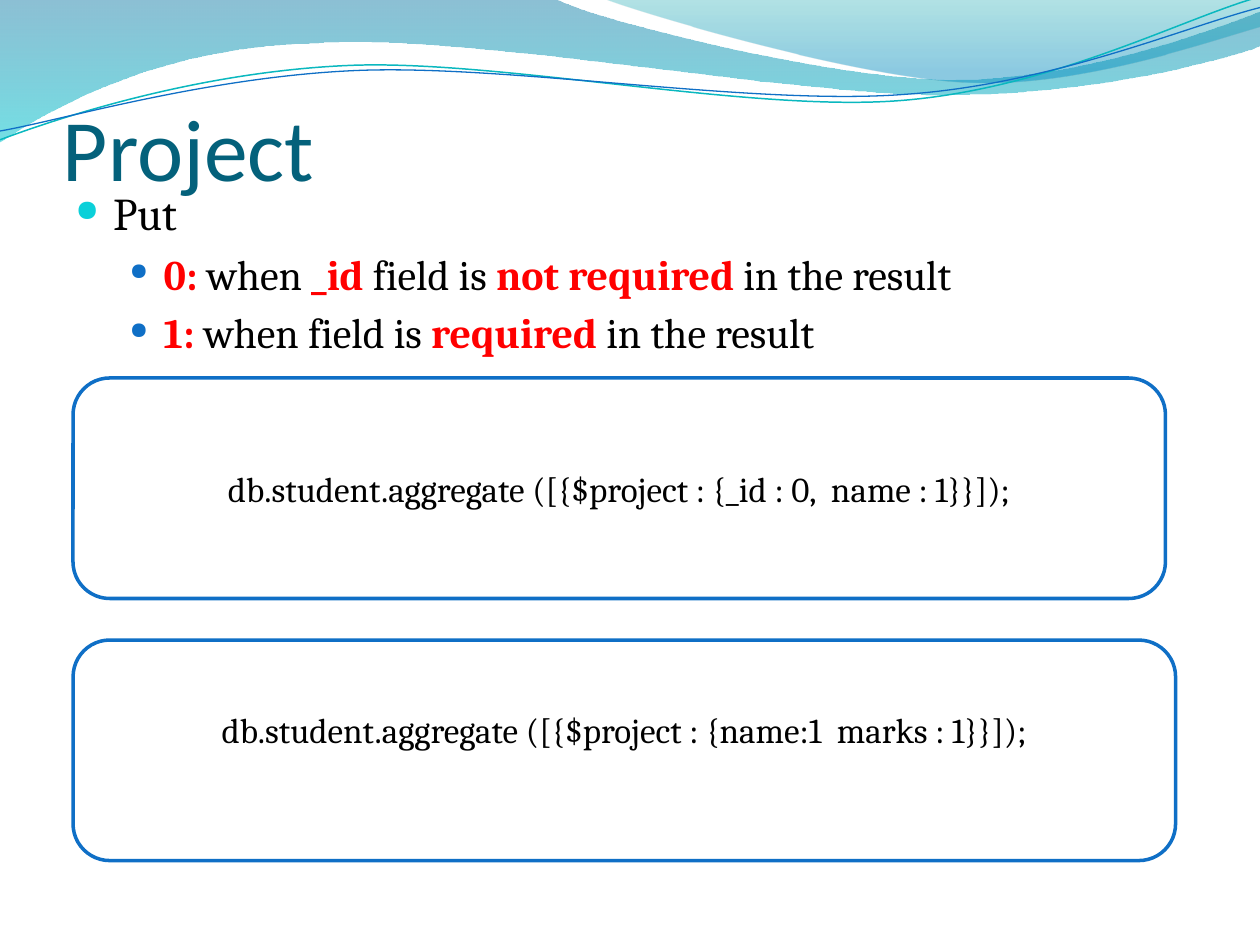
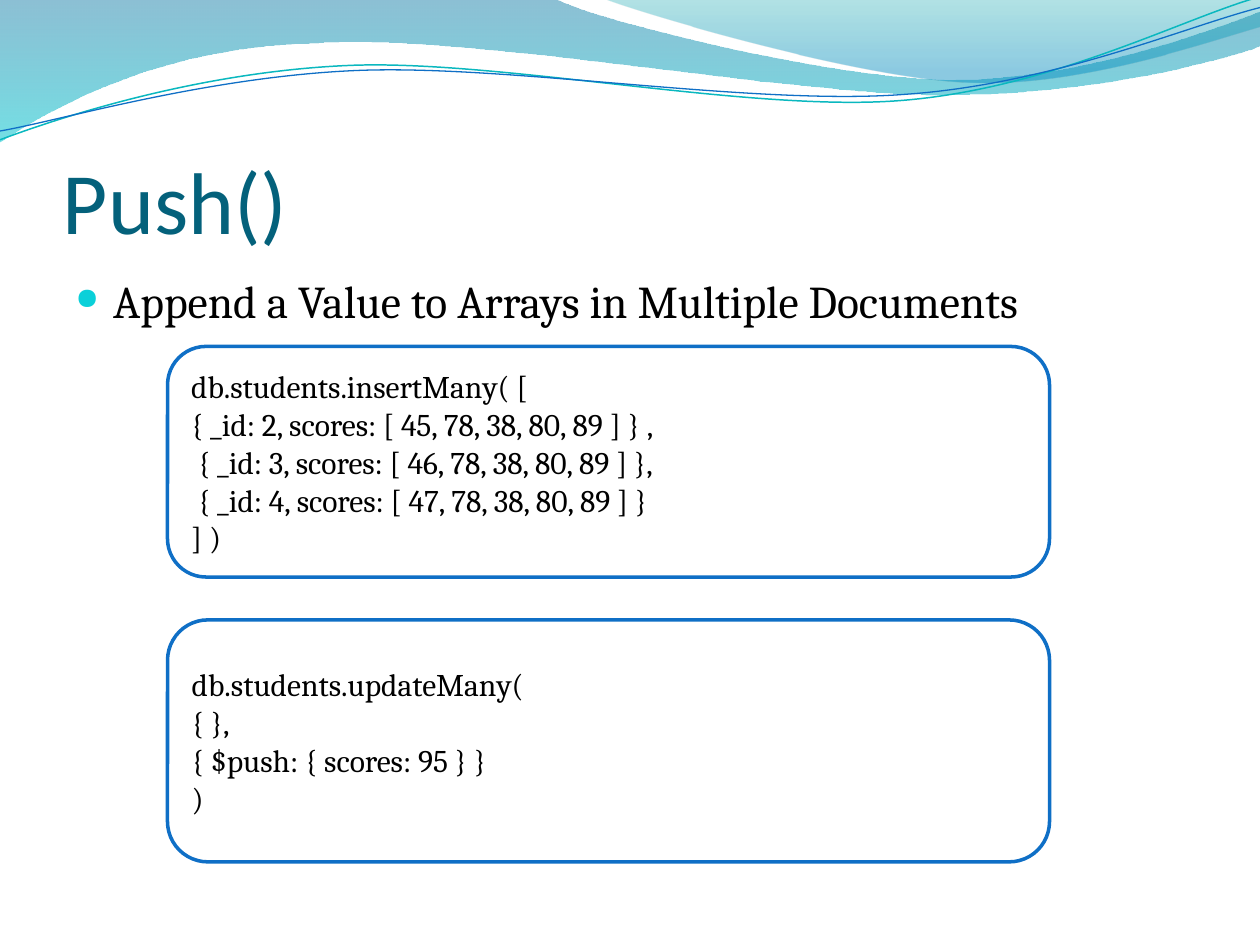
from dataclasses import dataclass

from lxml import etree
from pptx import Presentation
from pptx.dml.color import RGBColor
from pptx.enum import shapes, text
from pptx.oxml import ns
from pptx.util import Inches, Pt


@dataclass(frozen=True)
class Theme:
    head: str = "Calibri"
    body: str = "Cambria"
    ink: str = "000000"
    title: str = "04617B"
    mark: str = "FF0000"
    blue: str = "0F6FC6"
    teal: str = "0AB8BF"
    dot: str = "0BD0D9"
    paper: str = "FFFFFF"
    title_size: int = 50
    # size, left indent, hanging indent, bullet colour, bullet percent
    levels: tuple = ((26, 0.3, 0.3, dot, 66), (24, 0.7, 0.27, blue, 56))
    gap: float = 4.8


# Each wave: a start point, then lines (2 numbers) or curves (6 numbers).
BAND = ((0, 0), (4.4, -0.01), (4.76, 0.17, 6.64, 0.63, 7.58, 0.63),
        (8.53, 0.63, 9.58, 0.26, 10, 0.09), (10.01, 0.36),
        (9.83, 0.44, 8.7, 0.76, 7.46, 0.75),
        (6.22, 0.75, 3.82, 0.28, 2.57, 0.34),
        (1.29, 0.36, 0.46, 0.83, -0.01, 1.13), (0, 0))
CREST = ((4.79, -0.01), (5.09, 0.11, 6.82, 0.62, 7.69, 0.65),
         (8.56, 0.69, 9.61, 0.32, 10, 0.21), (10, 0), (4.79, -0.01))
UPPER = ((0, 1.11), (0.48, 0.93, 1.58, 0.57, 2.77, 0.52),
         (3.95, 0.47, 5.93, 0.89, 7.13, 0.8),
         (8.33, 0.71, 9.38, 0.15, 9.98, -0.02))
LOWER = ((0, 1.04), (0.47, 0.96, 1.64, 0.61, 2.83, 0.56),
         (4.03, 0.51, 5.97, 0.84, 7.17, 0.75),
         (8.36, 0.67, 9.41, 0.21, 10, 0.06))


def color(code):
    return RGBColor.from_string(code)


def bend(shape, wave):
    """Join the three segments of each curve step into one Bezier."""
    segments = iter(list(shape._element.iter(ns.qn("a:lnTo"))))
    for step in wave[1:]:
        first = next(segments)
        if len(step) == 6:
            first.tag = ns.qn("a:cubicBezTo")
            for extra in (next(segments), next(segments)):
                first.append(extra[0])
                extra.getparent().remove(extra)


class Deck:
    def __init__(self, theme):
        self.theme = theme
        self.file = Presentation()
        self.file.slide_width, self.file.slide_height = Inches(10), Inches(7.5)
        self.slide = None

    def page(self, title, top):
        """Start a slide with the waves and a title."""
        look = self.theme
        self.slide = self.file.slides.add_slide(self.file.slide_layouts[6])
        self.blend(BAND, (0, "0074A1", 45), (1, "00C6CF", 55))
        self.blend(CREST, (0, "00A1A9", 30), (0.8, "008BBF", 45))
        self.curve(UPPER, look.teal, 0.85)
        self.curve(LOWER, look.blue, 0.75)
        frame = self.frame(top, 1.25)
        frame.vertical_anchor = text.MSO_ANCHOR.BOTTOM
        frame.margin_left = frame.margin_right = frame.margin_bottom = 0
        frame.text = title
        self.style(frame.paragraphs[0], look.title_size, look.head, look.title)

    def wave(self, wave, close):
        points = [(Inches(step[i]), Inches(step[i + 1]))
                  for step in wave for i in range(0, len(step), 2)]
        form = self.slide.shapes.build_freeform(*points[0])
        form.add_line_segments(points[1:], close=close)
        shape = form.convert_to_shape()
        shape.shadow.inherit = False
        bend(shape, wave)
        return shape

    def blend(self, wave, *stops):
        """Draw a wave filled from top to bottom with (place, colour, opacity)."""
        shape = self.wave(wave, True)
        shape.line.fill.background()
        shape.fill.gradient()
        shape.fill.gradient_angle = 270
        for stop, (place, code, alpha) in zip(shape.fill.gradient_stops, stops):
            stop.position = place
            stop.color.rgb = color(code)
        nodes = list(shape._element.spPr.iter(ns.qn("a:srgbClr")))
        for node, (place, code, alpha) in zip(nodes, stops):
            etree.SubElement(node, ns.qn("a:alpha"), val=str(alpha * 1000))

    def curve(self, wave, code, width):
        shape = self.wave(wave, False)
        shape.fill.background()
        shape.line.color.rgb = color(code)
        shape.line.width = Pt(width)

    def frame(self, top, height):
        box = self.slide.shapes.add_textbox(
            Inches(0.5), Inches(top), Inches(9), Inches(height))
        box.text_frame.word_wrap = True
        return box.text_frame

    def style(self, para, size, face, code):
        for run in para.runs:
            run.font.size = Pt(size)
            run.font.name = face
            run.font.color.rgb = color(code)

    def bullets(self, top, height, items):
        """Add (level, text) items; text between asterisks is marked."""
        look = self.theme
        frame = self.frame(top, height)
        for i, (level, words) in enumerate(items):
            para = frame.add_paragraph() if i else frame.paragraphs[0]
            size, left, hang, code, scale = look.levels[level]
            para.level = level
            para.space_before = Pt(look.gap if i else 0)
            parts = words.split("*")
            for part in parts:
                if part:
                    para.add_run().text = part
            self.style(para, size, look.body, look.ink)
            marked = parts[1::2]
            for run in para.runs:
                if run.text in marked:
                    run.font.bold = True
                    run.font.color.rgb = color(look.mark)
            self.dot(para, left, hang, code, scale)

    def dot(self, para, left, hang, code, scale):
        props = para._p.get_or_add_pPr()
        props.set("marL", str(Inches(left)))
        props.set("indent", str(-Inches(hang)))
        tint = etree.SubElement(props, ns.qn("a:buClr"))
        etree.SubElement(tint, ns.qn("a:srgbClr"), val=code)
        etree.SubElement(props, ns.qn("a:buSzPct"), val=str(scale * 1000))
        etree.SubElement(props, ns.qn("a:buChar"), char="●")

    def code(self, left, top, width, height, lines, size,
             align=text.PP_ALIGN.LEFT, lift=0):
        """Add a rounded code box; lift is extra room below the text."""
        look = self.theme
        box = self.slide.shapes.add_shape(
            shapes.MSO_SHAPE.ROUNDED_RECTANGLE,
            Inches(left), Inches(top), Inches(width), Inches(height))
        box.shadow.inherit = False
        box.fill.solid()
        box.fill.fore_color.rgb = color(look.paper)
        box.line.color.rgb = color(look.blue)
        box.line.width = Pt(2)
        frame = box.text_frame
        frame.word_wrap = True
        frame.vertical_anchor = text.MSO_ANCHOR.MIDDLE
        frame.margin_bottom = Inches(0.05 + lift)
        frame.text = "\n".join(lines)
        for para in frame.paragraphs:
            para.alignment = align
            self.style(para, size, look.body, look.ink)


def project(deck):
    deck.page("Project", 0.33)
    deck.bullets(1.42, 5.5, [
        (0, "Put"),
        (1, "*0:* when *_id *field is *not required *in the result"),
        (1, "*1:* when field is *required* in the result")])
    mid = text.PP_ALIGN.CENTER
    deck.code(0.58, 3, 8.67, 1.75,
              ["db.student.aggregate ([{$project : {_id : 0,  name : 1}}]);"],
              20, mid)
    deck.code(0.58, 5.08, 8.75, 1.75,
              ["db.student.aggregate ([{$project : {name:1  marks : 1}}]);"],
              20, mid, 0.33)


def push(deck):
    deck.page("Push()", 0.75)
    deck.bullets(2.12, 4.8,
                 [(0, "Append a Value to Arrays in Multiple Documents")])
    deck.code(1.33, 4.92, 7, 1.92, [
        "db.students.updateMany(",
        "{ },",
        "{ $push: { scores: 95 } }",
        ")"], 18)
    deck.code(1.33, 2.75, 7, 1.83, [
        "db.students.insertMany( [",
        "{ _id: 2, scores: [ 45, 78, 38, 80, 89 ] } ,",
        " { _id: 3, scores: [ 46, 78, 38, 80, 89 ] },",
        " { _id: 4, scores: [ 47, 78, 38, 80, 89 ] }",
        "] )"], 18)


def main():
    deck = Deck(Theme())
    project(deck)
    push(deck)
    deck.file.save("out.pptx")


if __name__ == "__main__":
    main()
